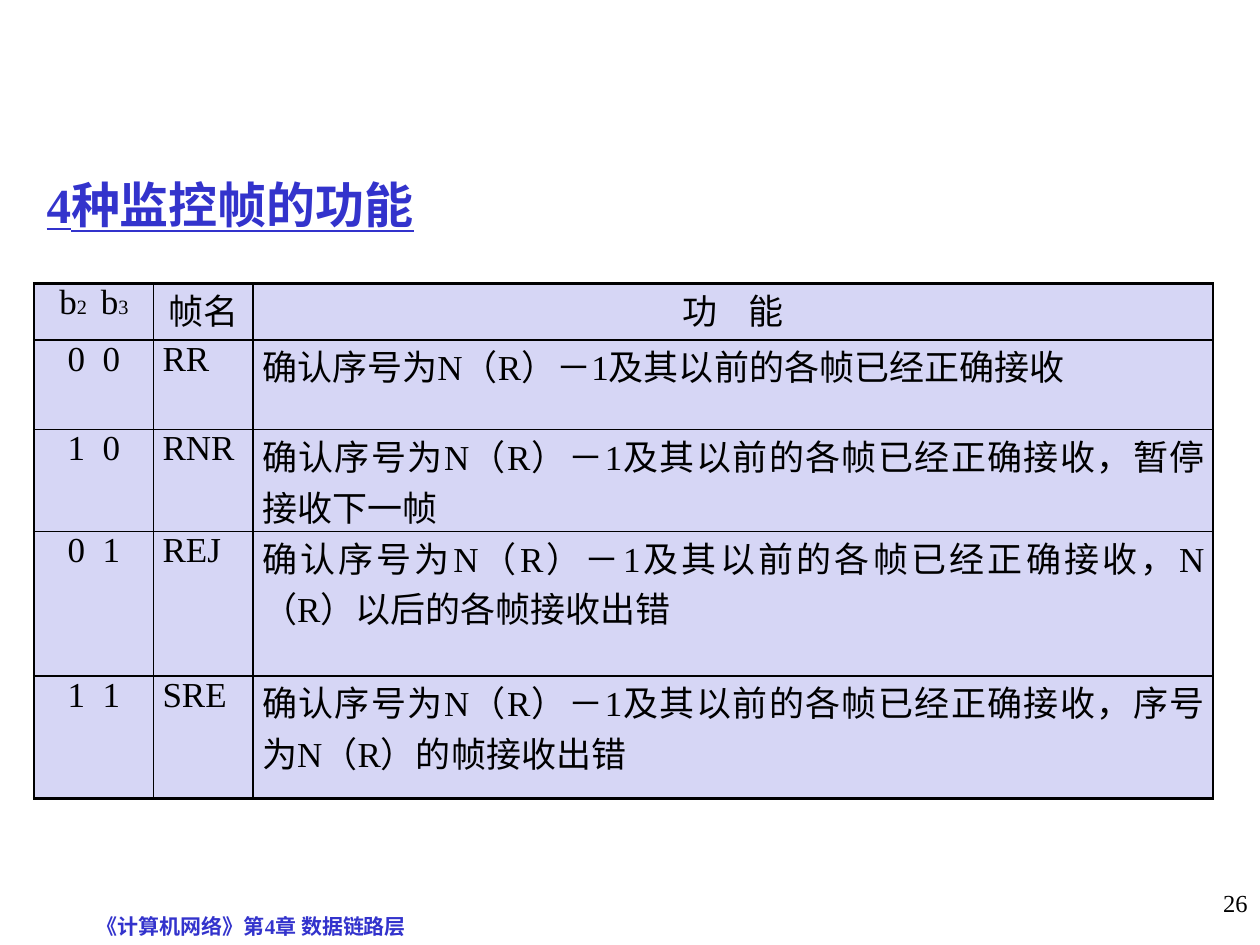
from lxml import etree
from pptx import Presentation
from pptx.dml.color import RGBColor
from pptx.enum.text import MSO_ANCHOR, PP_ALIGN
from pptx.oxml.ns import qn
from pptx.util import Inches, Pt

LEFT, RIGHT = PP_ALIGN.LEFT, PP_ALIGN.RIGHT
CENTER, JUST = PP_ALIGN.CENTER, PP_ALIGN.JUSTIFY
TOP, MIDDLE, BOTTOM = MSO_ANCHOR.TOP, MSO_ANCHOR.MIDDLE, MSO_ANCHOR.BOTTOM
SERIF, SANS = "Times New Roman", "Noto Sans CJK SC"
BLUE, BLACK, LILAC = "3333CC", "000000", "D6D6F5"

START = "确认序号为N（R）－1及其以前的各帧"
DONE = "已经正确接收"
HEAD = [[("b", {}), ("2 ", {"base": -25}), (" b", {}), ("3", {"base": -25})],
        "帧名", "功    能"]
FRAMES = [("0  0", "RR", START + DONE)] + [
    (bits, name, [(START, {}), (DONE, {"font": SANS}), (end, {})])
    for bits, name, end in [
        ("1  0", "RNR", "，暂停接收下一帧"),
        ("0  1", "REJ", "，N（R）以后的各帧接收出错"),
        ("1  1", "SRE ", "，序号为N（R）的帧接收出错"),
    ]
]
COLS = [0.95, 0.79, 7.62]
ROWS = [0.45, 0.71, 0.74, 1.15, 0.97]


def color(code):
    return RGBColor.from_string(code)


def write(frame, text, size=20, fill=BLACK, bold=False, line=False,
          align=LEFT, anchor=TOP):
    frame.word_wrap = True
    frame.vertical_anchor = anchor
    para = frame.paragraphs[0]
    para.alignment = align
    runs = [(text, {})] if isinstance(text, str) else text
    for words, look in runs:
        run = para.add_run()
        run.text = words
        font = run.font
        font.name = look.get("font", SERIF)
        font.size = Pt(size)
        font.bold = bold
        font.underline = line
        font.color.rgb = color(fill)
        props = font._element
        etree.SubElement(props, qn("a:ea")).set("typeface", SANS)
        if "base" in look:
            props.set("baseline", str(look["base"]))


def edge(cell, side, width):
    props = cell._tc.get_or_add_tcPr()
    line = etree.SubElement(props, qn("a:ln" + side), w=str(Pt(width)))
    solid = etree.SubElement(line, qn("a:solidFill"))
    etree.SubElement(solid, qn("a:srgbClr"), val=BLACK)


def title(slide, x, y, w, h):
    shape = slide.shapes.title
    shape.left, shape.top = Inches(x), Inches(y)
    shape.width, shape.height = Inches(w), Inches(h)
    write(shape.text_frame, "4种监控帧的功能", size=28, fill=BLUE,
          bold=True, line=True, anchor=MIDDLE)


def grid(slide, x, y):
    table = slide.shapes.add_table(
        len(ROWS), len(COLS), Inches(x), Inches(y),
        Inches(sum(COLS)), Inches(sum(ROWS))).table
    for col, width in zip(table.columns, COLS):
        col.width = Inches(width)
    for row, height in zip(table.rows, ROWS):
        row.height = Inches(height)
    for r, texts in enumerate([HEAD] + FRAMES):
        for c, text in enumerate(texts):
            cell = table.cell(r, c)
            cell.margin_left = cell.margin_right = Inches(0.07)
            cell.margin_top = cell.margin_bottom = 0
            write(cell.text_frame, text,
                  align=CENTER if r == 0 or c == 0 else JUST)
            outer = {"L": c == 0, "R": c == len(COLS) - 1,
                     "T": r == 0, "B": r == len(ROWS) - 1}
            for side, rim in outer.items():
                edge(cell, side, 1.5 if rim else 1)
            cell.fill.solid()
            cell.fill.fore_color.rgb = color(LILAC)


def label(slide, x, y, w, h, text, **look):
    box = slide.shapes.add_textbox(Inches(x), Inches(y), Inches(w), Inches(h))
    write(box.text_frame, text, **look)


def footer(slide, y, h):
    label(slide, 0.67, y, 5.83, h, "《计算机网络》第4章 数据链路层",
          size=12, fill=BLUE, bold=True, anchor=BOTTOM)
    label(slide, 7.92, y, 2.08, h, "26", size=14, align=RIGHT)


deck = Presentation()
deck.slide_width, deck.slide_height = Inches(10), Inches(7.5)
page = deck.slides.add_slide(deck.slide_layouts[5])
title(page, 0.27, 0.67, 8.98, 1.9)
grid(page, 0.27, 2.25)
footer(page, 7, 0.5)
deck.save("out.pptx")
